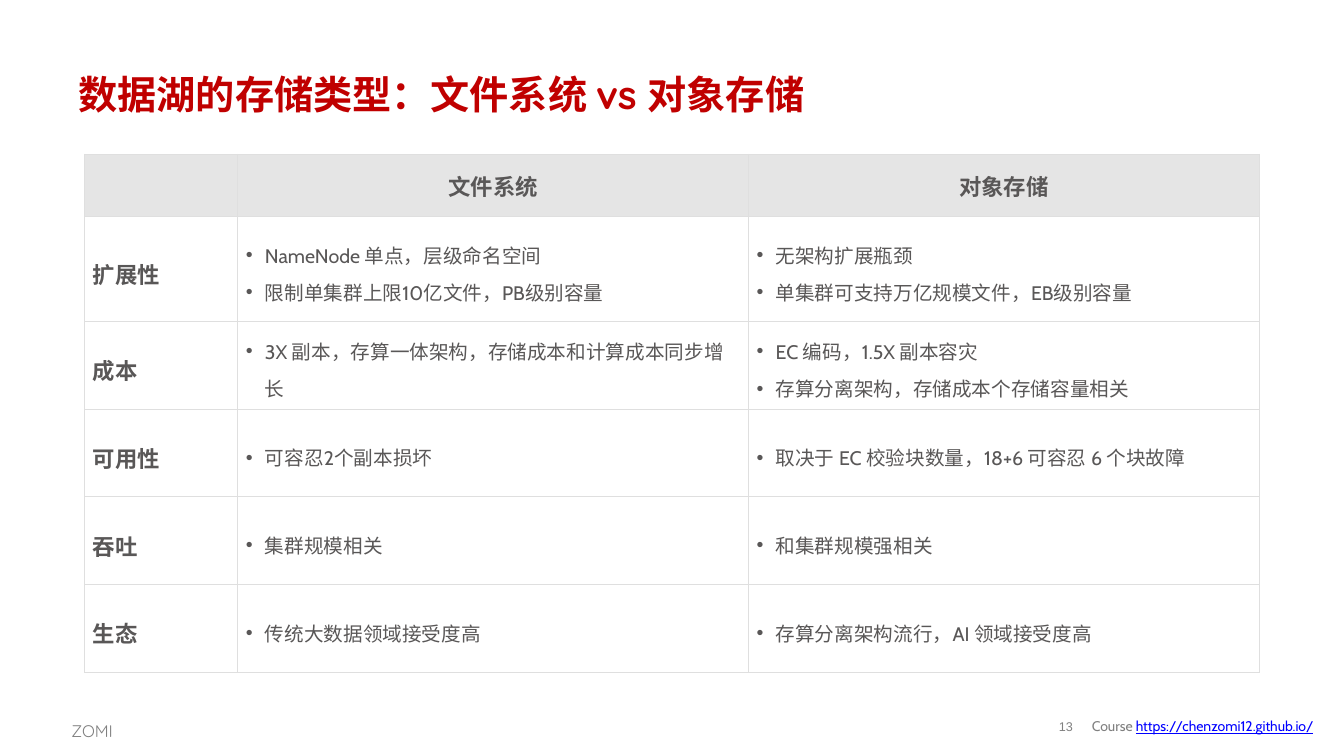
import pptx
import pptx.util
import pptx.dml.color
import pptx.enum.text
import pptx.oxml
import pptx.oxml.ns
from dataclasses import dataclass

Inches = pptx.util.Inches
Align = pptx.enum.text.PP_ALIGN
Middle = pptx.enum.text.MSO_ANCHOR.MIDDLE
Top = pptx.enum.text.MSO_ANCHOR.TOP


@dataclass
class Theme:
    red: str = "C00000"
    ink: str = "595757"
    gray: str = "808080"
    blue: str = "0000FF"
    head: str = "E5E5E5"
    white: str = "FFFFFF"
    rule: str = "DFDFDF"
    title: int = 28
    label: int = 16
    body: int = 14
    mark: int = 12
    link: int = 10
    page: int = 9


theme = Theme()


def style(run, size, face, color, bold=False):
    run.font.size = pptx.util.Pt(size)
    run.font.name = face
    run.font.bold = bold
    run.font.color.rgb = pptx.dml.color.RGBColor.from_string(color)


def element(xml):
    return pptx.oxml.parse_xml(xml.replace(" ", " " + pptx.oxml.ns.nsdecls("a") + " ", 1))


deck = pptx.Presentation()
deck.slide_width = Inches(13.34)
deck.slide_height = Inches(7.5)
slide = deck.slides.add_slide(deck.slide_layouts[5])

title = slide.shapes.title
title.left, title.top = Inches(0.68), Inches(0.61)
title.width, title.height = Inches(11.99), Inches(0.64)
frame = title.text_frame
frame.text = "数据湖的存储类型：文件系统 vs 对象存储"
frame.auto_size = pptx.enum.text.MSO_AUTO_SIZE.NONE
frame.vertical_anchor = Middle
frame.paragraphs[0].alignment = Align.LEFT
style(frame.paragraphs[0].runs[0], theme.title, "Quicksand", theme.red, True)

rows = [
    ("", ["文件系统"], ["对象存储"]),
    ("扩展性",
     ["NameNode 单点，层级命名空间", "限制单集群上限10亿文件，PB级别容量"],
     ["无架构扩展瓶颈", "单集群可支持万亿规模文件，EB级别容量"]),
    ("成本",
     ["3X 副本，存算一体架构，存储成本和计算成本同步增长"],
     ["EC 编码，1.5X 副本容灾", "存算分离架构，存储成本个存储容量相关"]),
    ("可用性", ["可容忍2个副本损坏"], ["取决于 EC 校验块数量，18+6 可容忍 6 个块故障"]),
    ("吞吐", ["集群规模相关"], ["和集群规模强相关"]),
    ("生态", ["传统大数据领域接受度高"], ["存算分离架构流行，AI 领域接受度高"]),
]
table = slide.shapes.add_table(
    len(rows), 3, Inches(0.84), Inches(1.53), Inches(11.65), Inches(5.14)).table
for col, width in zip(table.columns, (1.52, 5.07, 5.07)):
    col.width = Inches(width)
for row, height in zip(table.rows, (0.62, 1.04, 0.87, 0.87, 0.87, 0.87)):
    row.height = Inches(height)

indent = Inches(0.19)
for r, (label, *items) in enumerate(rows):
    for c, lines in enumerate([[label], *items]):
        cell = table.cell(r, c)
        cell.vertical_anchor = Middle
        cell.margin_left = cell.margin_right = Inches(0.08)
        cell.margin_top = cell.margin_bottom = Inches(0.06)
        props = cell._tc.get_or_add_tcPr()
        for side in "LRTB":
            props.append(element(
                f'<a:ln{side} w="9525"><a:solidFill><a:srgbClr val="{theme.rule}"/>'
                f'</a:solidFill></a:ln{side}>'))
        cell.fill.solid()
        cell.fill.fore_color.rgb = pptx.dml.color.RGBColor.from_string(
            theme.white if r else theme.head)
        cell.text_frame.text = "\n".join(lines)
        strong = r == 0 or c == 0
        for para in cell.text_frame.paragraphs:
            if r:
                para.line_spacing = 1.3
            else:
                para.alignment = Align.CENTER
            if not strong:
                bullet = para._p.get_or_add_pPr()
                bullet.set("marL", str(indent))
                bullet.set("indent", str(-indent))
                bullet.append(element('<a:buFont typeface="Arial"/>'))
                bullet.append(element('<a:buChar char="•"/>'))
            for run in para.runs:
                style(run, theme.label if strong else theme.body, "Cabin", theme.ink, strong)

footer = [
    ((10.4, 7.06, 0.36, 0.31), 0, Middle, Align.CENTER, 0.85,
     [("13", theme.page, "Arial", theme.gray)]),
    ((0.61, 7.06, 0.8, 0.32), 0.1, Top, Align.LEFT, 1.2,
     [("ZOMI", theme.mark, "Quicksand", theme.gray)]),
    ((10.74, 7.06, 2.46, 0.29), 0.1, Middle, Align.LEFT, 1,
     [("Course ", theme.link, "Cabin", theme.gray),
      ("https://chenzomi12.github.io/", theme.link, "Cabin", theme.blue)]),
]
for place, inset, anchor, align, space, parts in footer:
    frame = slide.shapes.add_textbox(*map(Inches, place)).text_frame
    frame.word_wrap = True
    frame.vertical_anchor = anchor
    frame.margin_left = frame.margin_right = Inches(inset)
    frame.margin_top = frame.margin_bottom = Inches(inset / 2)
    para = frame.paragraphs[0]
    para.alignment = align
    para.line_spacing = space
    for text, size, face, color in parts:
        run = para.add_run()
        run.text = text
        style(run, size, face, color)
        run.font.underline = color == theme.blue

deck.save("out.pptx")
